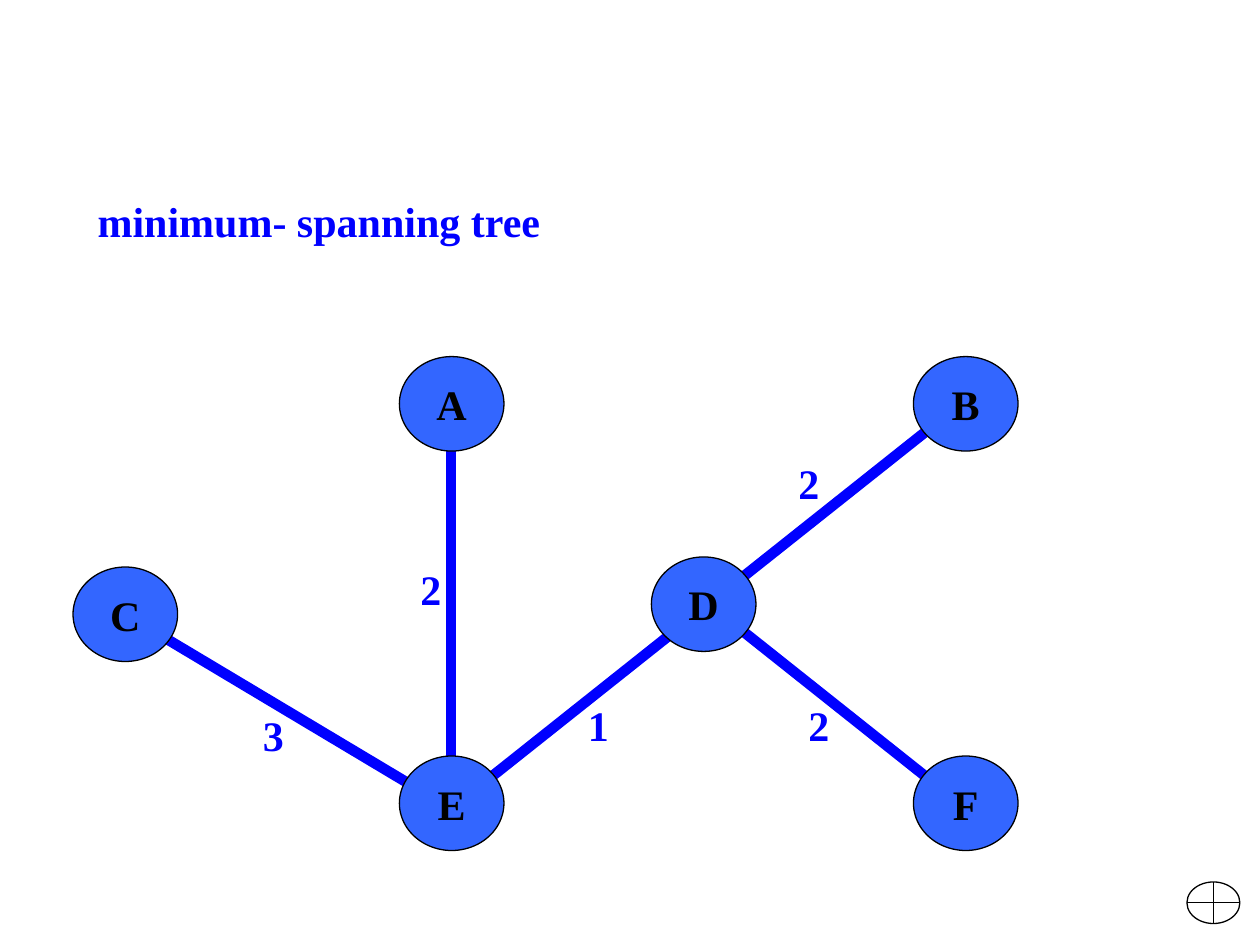
"""Build a slide showing a minimum spanning tree with weighted edges."""
from pptx import Presentation
from pptx.dml.color import RGBColor
from pptx.enum.shapes import MSO_CONNECTOR as CONN, MSO_SHAPE as SHAPE
from pptx.enum.text import MSO_ANCHOR as ANCHOR, PP_ALIGN as ALIGN
from pptx.util import Inches, Pt
from lxml import etree

BLUE = RGBColor(0x00, 0x00, 0xFF)
NODE_FILL = RGBColor(0x33, 0x66, 0xFF)
BLACK = RGBColor(0x00, 0x00, 0x00)
A_NS = "http://schemas.openxmlformats.org/drawingml/2006/main"


def write(sp, text, color=BLUE, anchor=ANCHOR.TOP, wrap=True, size=24):
    tf = sp.text_frame
    tf.word_wrap = wrap
    tf.vertical_anchor = anchor
    p = tf.paragraphs[0]
    p.alignment = ALIGN.CENTER
    r = p.add_run()
    r.text = text
    r.font.name = "Times New Roman"
    r.font.size = Pt(size)
    r.font.bold = True
    r.font.color.rgb = color


prs = Presentation()
prs.slide_width, prs.slide_height = Inches(10), Inches(7.5)
s = prs.slides.add_slide(prs.slide_layouts[6])

edges = [
    (3.58, 3.17, 3.58, 6.42),
    (5.67, 4.83, 7.67, 6.42),
    (5.58, 4.83, 3.58, 6.42),
    (5.58, 4.83, 7.67, 3.17),
    (0.92, 4.83, 3.58, 6.42),
]
for edge in edges:
    sp = s.shapes.add_connector(CONN.STRAIGHT, *[Inches(v) for v in edge])
    sp.line.color.rgb = BLUE
    sp.line.width = Pt(6)
    etree.SubElement(sp._element.spPr, f"{{{A_NS}}}effectLst")

nodes = [
    ("C", 0.58, 4.5), ("F", 7.25, 6), ("E", 3.17, 6),
    ("A", 3.17, 2.83), ("B", 7.25, 2.83), ("D", 5.17, 4.42),
]
for name, x, y in nodes:
    sp = s.shapes.add_shape(SHAPE.OVAL, Inches(x), Inches(y), Inches(0.83), Inches(0.75))
    sp.shadow.inherit = False
    sp.fill.solid()
    sp.fill.fore_color.rgb = NODE_FILL
    sp.line.color.rgb = BLACK
    sp.line.width = Pt(0.75)
    write(sp, name, color=BLACK, anchor=ANCHOR.MIDDLE, wrap=False)

weights = [
    ("3", 1.92, 5.58), ("2", 3.17, 4.42), ("1", 4.5, 5.5),
    ("2", 6.25, 5.5), ("2", 6.17, 3.58),
]
for weight, x, y in weights:
    sp = s.shapes.add_textbox(Inches(x), Inches(y), Inches(0.5), Inches(0.5))
    write(sp, weight)

sp = s.shapes.add_textbox(Inches(0.67), Inches(1.5), Inches(3.72), Inches(0.5))
write(sp, "minimum- spanning tree", wrap=False)

sp = s.shapes.add_shape(SHAPE.FLOWCHART_OR, Inches(9.42), Inches(7), Inches(0.42), Inches(0.33))
sp.shadow.inherit = False
sp.fill.background()
sp.line.color.rgb = BLACK
sp.line.width = Pt(0.75)

prs.save("out.pptx")
